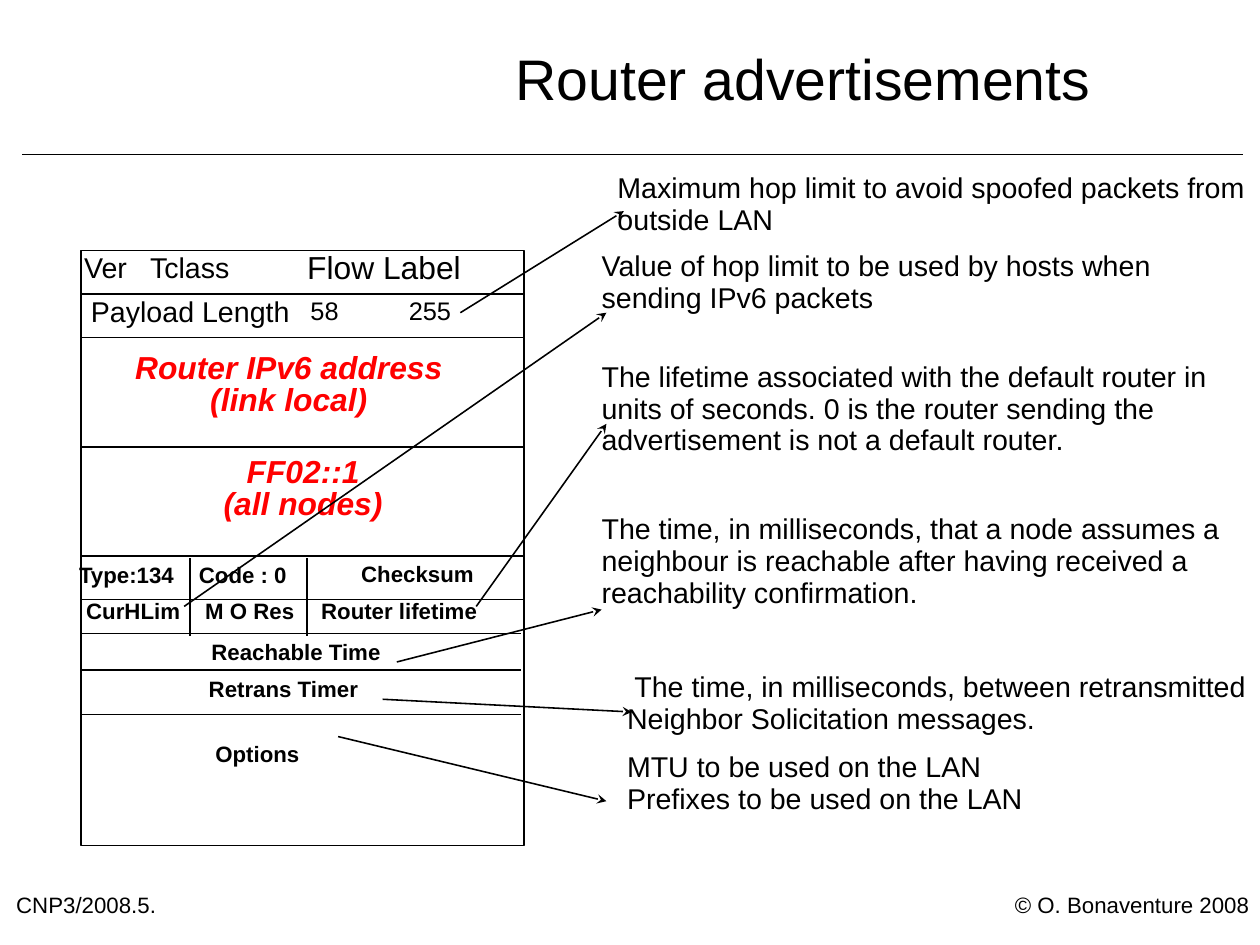
from itertools import accumulate

from lxml import etree
from pptx import Presentation
from pptx.dml.color import RGBColor
from pptx.enum.shapes import MSO_CONNECTOR, MSO_SHAPE
from pptx.enum.text import MSO_ANCHOR, PP_ALIGN
from pptx.oxml.ns import qn
from pptx.util import Pt

STRAIGHT = MSO_CONNECTOR.STRAIGHT
RECTANGLE = MSO_SHAPE.RECTANGLE
MIDDLE, TOP = MSO_ANCHOR.MIDDLE, MSO_ANCHOR.TOP
LEFT, CENTER, RIGHT = PP_ALIGN.LEFT, PP_ALIGN.CENTER, PP_ALIGN.RIGHT

FONT = "Arial"
COLORS = {"ink": "000000", "address": "FF0000"}

ROW_HEIGHTS = [27.5, 27.5, 69, 68.5, 27.5, 155]
RULE_OFFSETS = [241.3, 264.3, 292.3]
COLUMN_OFFSETS = [68.7, 142.5]

FIELDS = [
    ("Ver", 2, 3.5, 18, False),
    ("Tclass", 43.5, 3.5, 18, False),
    ("Flow Label", 142.5, 2.5, 20, False),
    ("Payload Length", 6.3, 31, 18, False),
    ("58", 144.6, 31.3, 16, False),
    ("255", 206.5, 31.3, 16, False),
    ("Type:134", -1.2, 198.5, 14, True),
    ("Code : 0", 74.3, 198.5, 14, True),
    ("Checksum", 176.5, 198, 14, True),
    ("CurHLim", 3.3, 221, 14, True),
    ("M O Res", 78.3, 221, 14, True),
    ("Router lifetime", 151.3, 221, 14, True),
    ("Reachable Time", 82.2, 247, 14, True),
    ("Retrans Timer", 80.5, 270.6, 14, True),
    ("Options", 84.7, 311.6, 14, True),
]

ADDRESSES = [
    (["Router IPv6 address", "(link local)"], 31, 65, 200),
    (["FF02::1", "(all nodes)"], 80, 130.5, 120),
]

NOTES = [
    (["Maximum hop limit to avoid spoofed packets from outside LAN"],
     (10, 0), (-86, 88), (17, 24)),
    (["Value of hop limit to be used by hosts when sending IPv6 packets"],
     (0, 49), (-260, 273), (6, 88)),
    (["The lifetime associated with the default router in units of seconds. "
      "0 is the router sending the advertisement is not a default router."],
     (0, 118.8), (-76, 273), (6, 158)),
    (["The time, in milliseconds, that a node assumes a neighbour is reachable "
      "after having received a reachability confirmation."],
     (0, 214.6), (-126, 308), (3, 275)),
    ([" The time, in milliseconds, between retransmitted "
      "Neighbor Solicitation messages."],
     (16, 314.6), (-135, 331.5), (22, 339.5)),
    (["MTU to be used on the LAN", "Prefixes to be used on the LAN"],
     (16, 364.6), (-163, 355), (6, 395.7)),
]


def color(name):
    """Return the named colour."""
    return RGBColor.from_string(COLORS[name])


def add_text(slide, lines, box, size, bold=False, italic=False, ink="ink",
             align=LEFT, anchor=TOP, spacing=0.84, inset=0):
    """Place lines of text, one paragraph each, in a box."""
    frame = slide.shapes.add_textbox(*map(Pt, box)).text_frame
    frame.word_wrap = True
    frame.vertical_anchor = anchor
    frame.margin_left = Pt(inset)
    frame.margin_top = frame.margin_right = frame.margin_bottom = 0
    frame.text = "\n".join(lines)
    for paragraph in frame.paragraphs:
        paragraph.alignment = align
        paragraph.line_spacing = spacing
        font = paragraph.font
        font.name, font.size = FONT, Pt(size)
        font.bold, font.italic = bold, italic
        font.color.rgb = color(ink)


def add_line(slide, start, end, arrow=False):
    """Draw a thin line, with an optional arrowhead at its end."""
    line = slide.shapes.add_connector(STRAIGHT, *map(Pt, start + end))
    line.line.width = Pt(1)
    line.line.color.rgb = color("ink")
    if arrow:
        outline = line.line._get_or_add_ln()
        etree.SubElement(outline, qn("a:tailEnd"), type="stealth")
    etree.SubElement(line._element.spPr, qn("a:effectLst"))


def add_title(slide, left, top, width, height):
    """Write the slide title above its rule."""
    title_box = (left + 254.5, top, 474.5, height)
    add_text(slide, ["Router advertisements"], title_box, 36,
             align=CENTER, anchor=MIDDLE)
    rule_y = top + height - 7.3
    add_line(slide, (left, rule_y), (left + width, rule_y))


def add_footer(slide, left, top, width, height):
    """Write the course reference and the copyright line."""
    half = width / 2
    add_text(slide, ["CNP3/2008.5."], (left, top, half, height), 14)
    add_text(slide, ["© O. Bonaventure 2008"], (left + half, top, half, height),
             14, align=RIGHT)


def add_packet(slide, left, top, width):
    """Draw the packet layout with its fields."""
    row_tops = accumulate(ROW_HEIGHTS[:-1], initial=top)
    for row_top, height in zip(row_tops, ROW_HEIGHTS):
        row = slide.shapes.add_shape(
            RECTANGLE, Pt(left), Pt(row_top), Pt(width), Pt(height))
        row.shadow.inherit = False
        row.fill.background()
        row.line.color.rgb = color("ink")
        row.line.width = Pt(1)
    for offset in RULE_OFFSETS:
        add_line(slide, (left, top + offset), (left + width - 1.5, top + offset))
    for offset in COLUMN_OFFSETS:
        add_line(slide, (left + offset, top + 194), (left + offset, top + 243))
    for name, dx, dy, size, bold in FIELDS:
        field_box = (left + dx, top + dy, len(name) * size * 0.7, size)
        add_text(slide, [name], field_box, size, bold)
    for lines, dx, dy, address_width in ADDRESSES:
        address_box = (left + dx, top + dy, address_width, 40)
        add_text(slide, lines, address_box, 20, True, True, "address", CENTER)


def add_notes(slide, left, top, width):
    """Explain the fields, each note tied to its field by an arrow."""
    for lines, (dx, dy), (field_x, field_y), (tip_x, tip_y) in NOTES:
        add_line(slide, (left + field_x, top + field_y),
                 (left + tip_x, top + tip_y), arrow=True)
        height = 71 if len(lines[0]) > 100 else 51
        add_text(slide, lines, (left + dx, top + dy, width, height), 18,
                 spacing=0.93, inset=3)


def main():
    """Build and save the slide."""
    deck = Presentation()
    deck.slide_width, deck.slide_height = Pt(793.7), Pt(595.28)
    slide = deck.slides.add_slide(deck.slide_layouts[6])
    add_title(slide, 14, 0, 769, 104.5)
    add_footer(slide, 10.2, 564.5, 776.8, 17)
    add_packet(slide, 51, 157.7, 279)
    add_notes(slide, 376, 109, 401)
    deck.save("out.pptx")


if __name__ == "__main__":
    main()
